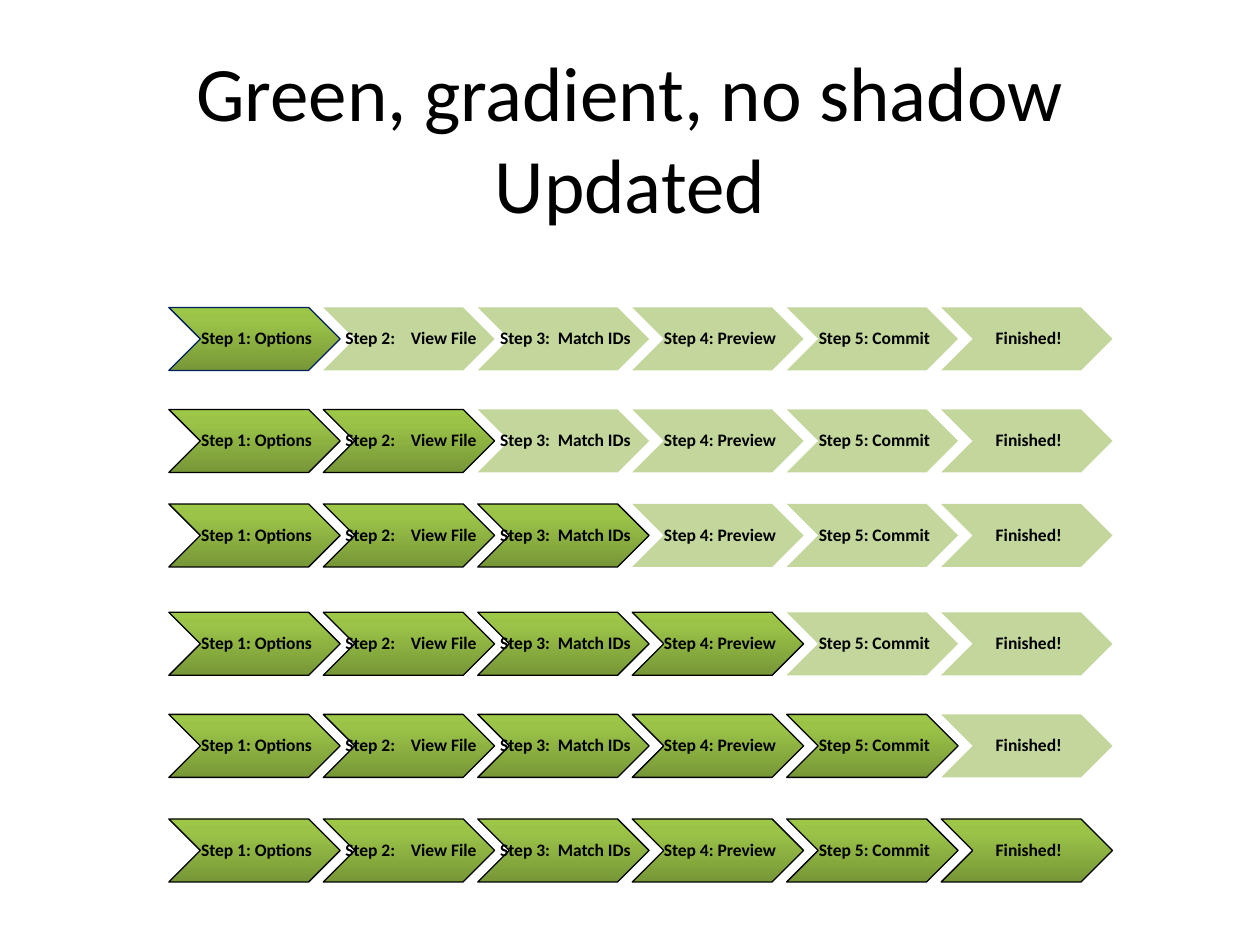
from copy import deepcopy

from pptx import Presentation
from pptx.dml.color import RGBColor
from pptx.enum.shapes import MSO_SHAPE
from pptx.enum.text import MSO_ANCHOR, MSO_AUTO_SIZE, PP_ALIGN
from pptx.oxml.ns import qn
from pptx.util import Inches, Pt

# Content
TITLE = ["Green, gradient, no shadow", "Updated"]
STEPS = ["Step 1: Options", "Step 2:    View File", "Step 3:  Match IDs",
         "Step 4: Preview", "Step 5: Commit", "Finished!"]
# One progress bar per stage: (top in inches, outline of the completed steps)
PROGRESS_BARS = [(2.44, "navy"), (3.25, "black"), (4.0, "black"),
                 (4.86, "black"), (5.67, "black"), (6.5, "black")]

THEME = {
    "font": "Calibri",
    "title_size": Pt(44),
    "step_size": Pt(10),
    "outline_width": Pt(0.75),
    "black": RGBColor.from_string("000000"),
    "navy": RGBColor.from_string("002060"),
    "pending": RGBColor.from_string("C3D69B"),
    "done": [(0, "779737"), (0.8, "9BC348"), (1, "9DC746")],
}

# Geometry in inches
FIRST_LEFT, LAST_LEFT = 1.34, 7.47
STEP_WIDTH, STEP_HEIGHT = 1.36, 0.5
PITCH = (LAST_LEFT - FIRST_LEFT) / (len(STEPS) - 1)


def format_paragraph(paragraph, size, bold=False):
    paragraph.alignment = PP_ALIGN.CENTER
    for run in paragraph.runs:
        run.font.name = THEME["font"]
        run.font.size = size
        run.font.bold = bold
        run.font.color.rgb = THEME["black"]


def fill_done(chevron, outline):
    """Bottom-to-top green gradient with a thin outline."""
    chevron.fill.gradient()
    chevron.fill.gradient_angle = 90
    stop_list = next(chevron._element.spPr.iter(qn("a:gsLst")))
    stop_list.append(deepcopy(stop_list[0]))
    for stop, (position, color) in zip(chevron.fill.gradient_stops, THEME["done"]):
        stop.position = position
        stop.color.rgb = RGBColor.from_string(color)
    chevron.line.color.rgb = THEME[outline]
    chevron.line.width = THEME["outline_width"]


def fill_pending(chevron):
    chevron.fill.solid()
    chevron.fill.fore_color.rgb = THEME["pending"]
    chevron.line.fill.background()


def add_step(bar, label, left, top):
    chevron = bar.shapes.add_shape(MSO_SHAPE.CHEVRON, Inches(left), Inches(top),
                                   Inches(STEP_WIDTH), Inches(STEP_HEIGHT))
    chevron.shadow.inherit = False
    frame = chevron.text_frame
    frame.text = label
    frame.word_wrap = False
    frame.vertical_anchor = MSO_ANCHOR.MIDDLE
    frame.margin_left = Inches(0.04)
    frame.margin_right = frame.margin_top = frame.margin_bottom = Inches(0.01)
    paragraph = frame.paragraphs[0]
    paragraph.line_spacing = 0.9
    format_paragraph(paragraph, THEME["step_size"], bold=True)
    return chevron


def main():
    deck = Presentation()
    deck.slide_width, deck.slide_height = Inches(10), Inches(7.5)
    slide = deck.slides.add_slide(deck.slide_layouts[5])

    # Title
    title = slide.shapes.title
    title.left, title.top = Inches(0.5), Inches(0.3)
    title.width, title.height = Inches(9), Inches(1.25)
    title.text_frame.text = "\n".join(TITLE)
    title.text_frame.auto_size = MSO_AUTO_SIZE.NONE
    title.text_frame.vertical_anchor = MSO_ANCHOR.TOP
    for paragraph in title.text_frame.paragraphs:
        format_paragraph(paragraph, THEME["title_size"])

    # Progress bars: each one has one more completed step than the bar above
    for done_count, (top, outline) in enumerate(PROGRESS_BARS, start=1):
        bar = slide.shapes.add_group_shape()
        for index, label in enumerate(STEPS):
            chevron = add_step(bar, label, FIRST_LEFT + index * PITCH, top)
            if index < done_count:
                fill_done(chevron, outline)
            else:
                fill_pending(chevron)

    deck.save("out.pptx")


if __name__ == "__main__":
    main()
